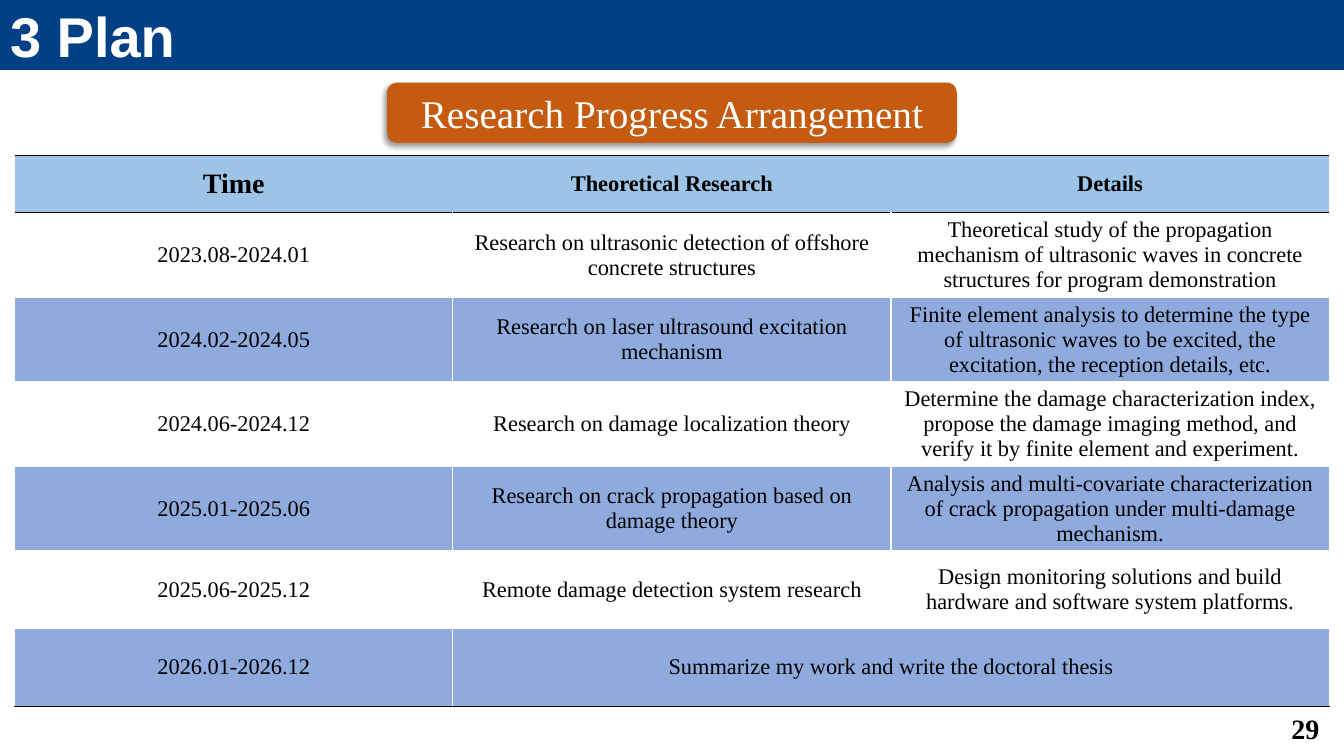
from lxml import etree
from pptx import Presentation
from pptx.dml.color import RGBColor
from pptx.enum import shapes, text
from pptx.oxml import ns
from pptx.util import Pt

TITLE = "3 Plan"
BANNER = "Research Progress Arrangement"
PAGE = "29"
HEADINGS = ("Time", "Theoretical Research", "Details")
PLAN = [
    ("2023.08-2024.01",
     "Research on ultrasonic detection of offshore concrete structures",
     "Theoretical study of the propagation mechanism of ultrasonic waves in concrete "
     "structures for program demonstration"),
    ("2024.02-2024.05",
     "Research on laser ultrasound excitation mechanism",
     "Finite element analysis to determine the type of ultrasonic waves to be excited, "
     "the excitation, the reception details, etc."),
    ("2024.06-2024.12",
     "Research on damage localization theory",
     "Determine the damage characterization index, propose the damage imaging method, "
     "and verify it by finite element and experiment."),
    ("2025.01-2025.06",
     "Research on crack propagation based on damage theory",
     "Analysis and multi-covariate characterization of crack propagation under "
     "multi-damage mechanism."),
    ("2025.06-2025.12",
     "Remote damage detection system research",
     "Design monitoring solutions and build hardware and software system platforms."),
    ("2026.01-2026.12", "Summarize my work and write the doctoral thesis"),
]
COLORS = {"title": "014085", "banner": "C55A11", "heading": "9DC3E6",
          "stripe": "8FAADC", "white": "FFFFFF", "black": "000000"}
SERIF = "Times New Roman"
WIDTH, HEIGHT = 960, 540
TABLE_LEFT, TABLE_TOP = 10.5, 111
COLUMN_WIDTH, HEADING_HEIGHT, ROW_HEIGHT = 313, 41, 55.5
CELL_FORMAT = {"vertical_anchor": text.MSO_ANCHOR.MIDDLE,
               "margin_top": Pt(1.4), "margin_bottom": Pt(1.4)}


def rgb(name):
    return RGBColor.from_string(COLORS[name])


def place(shape, left, top, width, height):
    box = {"left": left, "top": top, "width": width, "height": height}
    for side, length in box.items():
        setattr(shape, side, Pt(length))


def fill(target, color):
    target.fill.solid()
    target.fill.fore_color.rgb = rgb(color)


def write(frame, words, align, size, color="black", bold=False, name=SERIF):
    frame.word_wrap = True
    frame.vertical_anchor = text.MSO_ANCHOR.MIDDLE
    paragraph = frame.paragraphs[0]
    paragraph.text = words
    paragraph.alignment = align
    for key, value in {"size": Pt(size), "bold": bold, "name": name}.items():
        setattr(paragraph.font, key, value)
    paragraph.font.color.rgb = rgb(color)


def add_xml_color(parent, color):
    solid = etree.SubElement(parent, ns.qn("a:solidFill"))
    return etree.SubElement(solid, ns.qn("a:srgbClr"), val=COLORS[color])


def set_borders(cell, borders):
    """Draw the sides given as letter: color; None leaves a side without a line."""
    properties = cell._tc.get_or_add_tcPr()
    for position, side in enumerate("LRTB"):
        line = etree.Element(ns.qn(f"a:ln{side}"), w=str(Pt(1)))
        if borders[side]:
            add_xml_color(line, borders[side])
        else:
            etree.SubElement(line, ns.qn("a:noFill"))
        properties.insert(position, line)


def add_shadow(shape):
    shape.shadow.inherit = False
    effects = shape._element.spPr.find(ns.qn("a:effectLst"))
    shadow = etree.SubElement(effects, ns.qn("a:outerShdw"), blurRad=str(Pt(4)),
                              dist=str(Pt(3)), dir=str(135 * 60000), rotWithShape="0")
    black = etree.SubElement(shadow, ns.qn("a:srgbClr"), val=COLORS["black"])
    etree.SubElement(black, ns.qn("a:alpha"), val="40000")


def add_plan(slide):
    rows = [HEADINGS, *PLAN]
    last = len(rows) - 1
    frame = slide.shapes.add_table(
        len(rows), len(HEADINGS), Pt(TABLE_LEFT), Pt(TABLE_TOP),
        Pt(COLUMN_WIDTH * len(HEADINGS)), Pt(HEADING_HEIGHT + ROW_HEIGHT * last))
    table = frame.table
    for column in table.columns:
        column.width = Pt(COLUMN_WIDTH)
    table.cell(last, 1).merge(table.cell(last, 2))
    for r, row in enumerate(rows):
        heading = r == 0
        table.rows[r].height = Pt(HEADING_HEIGHT if heading else ROW_HEIGHT)
        side = None if heading else "white"
        borders = {"L": side, "R": side,
                   "T": "black" if r <= 1 else "white",
                   "B": "black" if r in (0, last) else "white"}
        background = "heading" if heading else ("stripe", "white")[r % 2]
        for c in range(len(HEADINGS)):
            cell = table.cell(r, c)
            fill(cell, background)
            set_borders(cell, borders)
            for key, value in CELL_FORMAT.items():
                setattr(cell, key, value)
            if c < len(row):
                write(cell.text_frame, row[c], text.PP_ALIGN.CENTER,
                      20 if heading and c == 0 else 16, bold=heading)


def main():
    deck = Presentation()
    deck.slide_width, deck.slide_height = Pt(WIDTH), Pt(HEIGHT)
    slide = deck.slides.add_slide(deck.slide_layouts[5])

    title = slide.shapes.title
    place(title, 0, 0, WIDTH, 50)
    fill(title, "title")
    write(title.text_frame, TITLE, text.PP_ALIGN.LEFT, 40, "white", True, "Arial")
    title.text_frame.auto_size = text.MSO_AUTO_SIZE.NONE

    page = slide.shapes.add_textbox(Pt(733.5), Pt(506), Pt(216), Pt(29))
    write(page.text_frame, PAGE, text.PP_ALIGN.RIGHT, 20, bold=True)

    banner = slide.shapes.add_shape(shapes.MSO_SHAPE.ROUNDED_RECTANGLE,
                                    Pt(276.5), Pt(59), Pt(407), Pt(43))
    fill(banner, "banner")
    banner.line.fill.background()
    add_shadow(banner)
    write(banner.text_frame, BANNER, text.PP_ALIGN.CENTER, 28, "white")

    add_plan(slide)
    deck.save("out.pptx")


if __name__ == "__main__":
    main()
